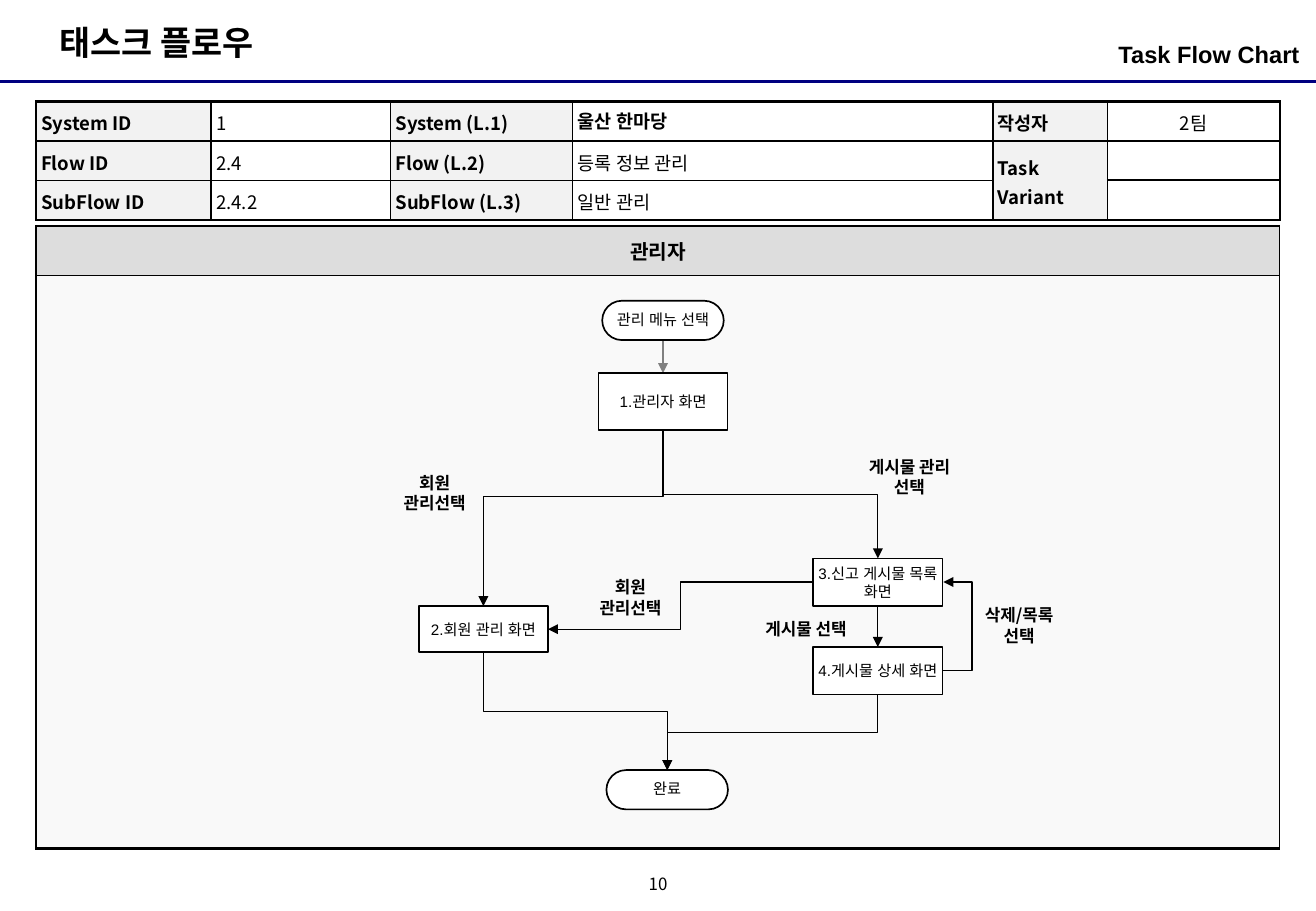
from dataclasses import dataclass

from lxml.etree import SubElement
from pptx import Presentation
from pptx.dml.color import RGBColor
from pptx.enum.shapes import MSO_CONNECTOR as CONN, MSO_SHAPE as SHAPE
from pptx.enum.text import MSO_ANCHOR as ANCHOR, MSO_AUTO_SIZE as AUTO, PP_ALIGN as ALIGN
from pptx.oxml.ns import qn
from pptx.util import Pt


@dataclass(frozen=True)
class Theme:
    ink: str = "000000"
    paper: str = "FFFFFF"
    navy: str = "000080"
    grey: str = "808080"
    label: str = "F2F2F2"
    lane_head: str = "DDDDDD"
    lane_body: str = "F9F9F9"
    korean: str = "Noto Sans CJK KR"
    latin: str = "Arial"
    title: float = 20
    subtitle: float = 14
    lane: float = 12
    cell: float = 11
    note: float = 10
    node: float = 9


class FlowSlide:
    def __init__(self, prs, theme):
        self.t = theme
        self.s = prs.slides.add_slide(prs.slide_layouts[5])

    def style(self, p, size, font=None, bold=False, align=ALIGN.LEFT):
        p.alignment = align
        f = p.font
        f.size, f.bold = Pt(size), bold
        f.color.rgb = RGBColor.from_string(self.t.ink)
        f.name = font or self.t.korean
        SubElement(f._element, qn("a:ea")).set("typeface", f.name)
        if not p.text:
            p._p.get_or_add_endParaRPr().set("sz", str(int(size * 100)))

    def fill_text(self, tf, text, size, margins=(7.2, 3.6), anchor=ANCHOR.TOP,
                  wrap=True, spacing=None, **font):
        tf.auto_size, tf.word_wrap, tf.vertical_anchor = AUTO.NONE, wrap, anchor
        tf.margin_left = tf.margin_right = Pt(margins[0])
        tf.margin_top = tf.margin_bottom = Pt(margins[1])
        p = tf.paragraphs[0]
        p.text = text
        if spacing:
            p.line_spacing = spacing
        self.style(p, size, **font)

    def title(self, text, x, y, w, h):
        sp = self.s.shapes.title
        sp.left, sp.top, sp.width, sp.height = map(Pt, (x, y, w, h))
        self.fill_text(sp.text_frame, text, self.t.title, wrap=False, bold=True)

    def text(self, text, x, y, w, h, size, **opts):
        sp = self.s.shapes.add_textbox(*map(Pt, (x, y, w, h)))
        self.fill_text(sp.text_frame, text, size, **opts)

    def node(self, text, cx, y, h, kind=SHAPE.RECTANGLE, w=76.5, spacing=None):
        sp = self.s.shapes.add_shape(kind, *map(Pt, (cx - w / 2, y, w, h)))
        sp.shadow.inherit = False
        sp.fill.solid()
        sp.fill.fore_color.rgb = RGBColor.from_string(self.t.paper)
        sp.line.color.rgb = RGBColor.from_string(self.t.ink)
        sp.line.width = Pt(1)
        self.fill_text(sp.text_frame, text, self.t.node, (1.4, 0), ANCHOR.MIDDLE,
                       spacing=spacing, font=self.t.latin, align=ALIGN.CENTER)

    def line(self, x1, y1, x2, y2, kind=CONN.STRAIGHT, color=None, width=0.75, arrow=True):
        c = self.s.shapes.add_connector(kind, *map(Pt, (x1, y1, x2, y2)))
        c.line.color.rgb = RGBColor.from_string(color or self.t.ink)
        c.line.width = Pt(width)
        spPr = c._element.spPr
        if arrow:
            SubElement(spPr.find(qn("a:ln")), qn("a:tailEnd")).set("type", "triangle")
        SubElement(spPr, qn("a:effectLst"))
        return spPr

    def elbow(self, x1, y1, x2, y2, bend=0.5, down=False):
        """Bent arrow; one that leaves downwards is a sideways one, turned."""
        ends, turn = (x1, y1, x2, y2), 0
        if down:
            cx, cy = (x1 + x2) / 2, (y1 + y2) / 2
            side = 1 if x2 > x1 else -1
            half_w, half_h = side * (y2 - y1) / 2, abs(x2 - x1) / 2
            ends = (cx + half_w, cy - half_h, cx - half_w, cy + half_h)
            turn = 270
            if side < 0:
                turn = 90
        spPr = self.line(*ends, kind=CONN.ELBOW)
        if turn:
            spPr.find(qn("a:xfrm")).set("rot", str(turn * 60000))
        geom = spPr.find(qn("a:prstGeom"))
        av = geom.find(qn("a:avLst"))
        if av is None:
            av = SubElement(geom, qn("a:avLst"))
        gd = SubElement(av, qn("a:gd"))
        gd.set("name", "adj1")
        gd.set("fmla", f"val {round(bend * 100000)}")

    def table(self, x, y, cols, rows):
        gf = self.s.shapes.add_table(len(rows), len(cols), *map(Pt, (x, y, sum(cols), sum(rows))))
        tbl = gf.table
        tbl.first_row = tbl.horz_banding = False
        for col, w in zip(tbl.columns, cols):
            col.width = Pt(w)
        for row, h in zip(tbl.rows, rows):
            row.height = Pt(h)
        return tbl

    def cell(self, cell, fill, borders):
        """Borders are widths for left, right, top and bottom."""
        tcPr = cell._tc.get_or_add_tcPr()
        for side, width in zip("LRTB", borders):
            ln = SubElement(tcPr, qn(f"a:ln{side}"))
            ln.set("w", str(int(Pt(width))))
            SubElement(SubElement(ln, qn("a:solidFill")), qn("a:srgbClr")).set("val", self.t.ink)
        cell.fill.solid()
        cell.fill.fore_color.rgb = RGBColor.from_string(fill)

    def info_table(self, x, y, cols, rows, data):
        tbl = self.table(x, y, cols, rows)
        last_r, last_c = len(rows) - 1, len(cols) - 1
        for r, texts in enumerate(data):
            for c, text in enumerate(texts):
                cell, right = tbl.cell(r, c), c >= last_c - 1
                is_label, is_name = c % 2 == 0, (r, c) == (0, 3)
                cell.margin_left = cell.margin_right = Pt(2.9)
                cell.margin_top = cell.margin_bottom = Pt(2.9)
                cell.vertical_anchor = ANCHOR.MIDDLE if right else ANCHOR.TOP
                p = cell.text_frame.paragraphs[0]
                p.text = text
                if not is_name:
                    p.line_spacing = 1.1
                    for i, tag in enumerate(("spcBef", "spcAft"), 1):
                        space = p._p.pPr.makeelement(qn(f"a:{tag}"))
                        SubElement(space, qn("a:spcPct")).set("val", "10000")
                        p._p.pPr.insert(i, space)
                self.style(p, self.t.cell, bold=is_label or is_name,
                           align=ALIGN.CENTER if c == last_c else ALIGN.LEFT)
                heavy = (c == 0, c == last_c, r == 0 or right, r == last_r or right)
                self.cell(cell, self.t.label if is_label else self.t.paper,
                          [1.5 if h else 1 for h in heavy])
        tbl.cell(1, 4).merge(tbl.cell(2, 4))

    def lane(self, text, x, y, w, head, body):
        tbl = self.table(x, y, [w], [head, body])
        top, area = tbl.cell(0, 0), tbl.cell(1, 0)
        top.vertical_anchor = ANCHOR.MIDDLE
        p = top.text_frame.paragraphs[0]
        p.text = text
        self.style(p, self.t.lane, bold=True, align=ALIGN.CENTER)
        self.cell(top, self.t.lane_head, (1.5, 0.75, 1.5, 0.75))
        self.cell(area, self.t.lane_body, (1.5, 0.75, 0.75, 1.5))


def main():
    prs = Presentation()
    prs.slide_width, prs.slide_height = Pt(780), Pt(540)
    t = Theme()
    fs = FlowSlide(prs, t)

    # Header and page number
    fs.line(0, 48.3, 780, 48.3, color=t.navy, width=2.25, arrow=False)
    fs.title("태스크 플로우", 28, 9.4, 142.5, 31.7)
    fs.text("Task Flow Chart", 532, 20.2, 238.3, 28, t.subtitle, margins=(0, 3.6),
            font=t.latin, bold=True, align=ALIGN.RIGHT)
    fs.text("10", 378, 516, 24, 18, t.note, margins=(0, 0), anchor=ANCHOR.MIDDLE,
            wrap=False, spacing=0.8, align=ALIGN.CENTER)

    # Tables
    fs.lane("관리자", 21.5, 134, 737, 29.5, 339.5)
    fs.info_table(21.5, 60.2, [103.7, 106.3, 108, 249, 68, 102], [22.5] * 3, [
        ["System ID", "1", "System (L.1)", "울산 한마당", "작성자", "2팀"],
        ["Flow ID", "2.4", "Flow (L.2)", "등록 정보 관리", "Task Variant", ""],
        ["SubFlow ID", "2.4.2", "SubFlow (L.3)", "일반 관리", "", ""],
    ])

    # Arrows, placed by the centre lines of the columns
    member, admin, board, done = 286.5, 393, 520.3, 395.5
    fs.line(admin, 201.6, admin, 221.2, color=t.grey, width=1.5)
    fs.line(board, 359.2, board, 383.5)
    fs.elbow(admin, 255, member, 359.3, bend=0.377, down=True)
    fs.elbow(admin, 255, board, 331, down=True)
    fs.elbow(member, 386.7, done, 456.5, down=True)
    fs.elbow(board, 411.7, done, 456.5, down=True)
    fs.elbow(482, 345, 324.8, 373)
    fs.elbow(558.2, 397.4, 559.2, 345, bend=18)

    # Steps
    ends = dict(h=23.3, kind=SHAPE.FLOWCHART_TERMINATOR, w=72, spacing=0.9)
    fs.node("관리 메뉴 선택", admin, 178.3, **ends)
    fs.node("완료", done, 456.5, **ends)
    for text, cx, y, h in [
        ("1.관리자 화면", admin, 221.2, 33.8),
        ("2.회원 관리 화면", member, 359.3, 27.4),
        ("3.신고 게시물 목록 화면", board, 331, 28.2),
        ("4.게시물 상세 화면", board, 383.5, 28.2),
    ]:
        fs.node(text, cx, y, h)

    # Arrow captions
    for text, x, y, w, h in [
        ("회원 관리선택", 225.2, 276.5, 64.8, 31.7),
        ("회원 관리선택", 341.3, 338.5, 64.8, 31.7),
        ("게시물 관리 선택", 499.8, 267, 78.5, 31.7),
        ("게시물 선택", 441, 363, 73.4, 19.4),
        ("삭제/목록 선택", 573.8, 355, 60.5, 31.7),
    ]:
        fs.text(text, x, y, w, h, t.note, bold=True, align=ALIGN.CENTER)

    prs.save("out.pptx")


if __name__ == "__main__":
    main()
